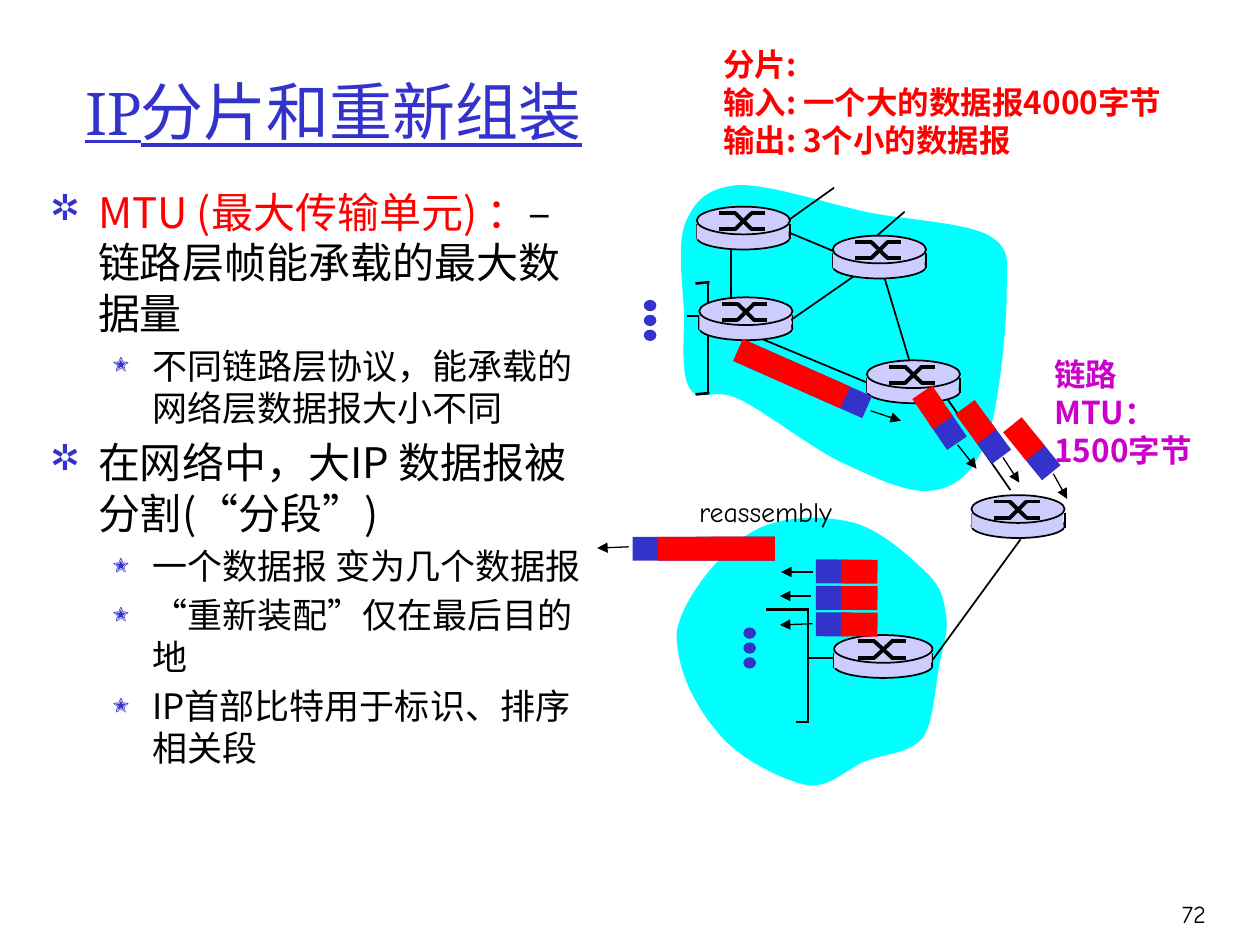
from math import cos, radians, sin

from lxml.etree import SubElement
from pptx import Presentation
from pptx.dml.color import RGBColor
from pptx.enum.shapes import MSO_CONNECTOR as Connector, MSO_SHAPE as Preset
from pptx.enum.text import MSO_ANCHOR as Anchor, PP_ALIGN as Align
from pptx.oxml.ns import qn
from pptx.util import Inches, Pt

BLACK, RED, BLUE = "000000", "FF0000", "3333CC"
CYAN, LILAC, PURPLE = "00FFFF", "CCCCFF", "CC00CC"


def color(value):
    return RGBColor.from_string(value)


class Diagram:
    sans, hand, serif = "Noto Sans CJK SC", "Comic Neue", "Cambria"
    columns = 100

    def __init__(self, presentation):
        self.slide = presentation.slides.add_slide(presentation.slide_layouts[6])
        self.shapes = self.slide.shapes
        self.cell = presentation.slide_width / self.columns

    def grid(self, *cells):
        return [round(cell * self.cell) for cell in cells]

    def group(self, draw, *details):
        self.shapes = self.slide.shapes.add_group_shape().shapes
        draw(*details)
        self.shapes = self.slide.shapes

    def paint(self, shape, fill, outline=None):
        shape.shadow.inherit = False
        shape.fill.solid()
        shape.fill.fore_color.rgb = color(fill)
        if outline:
            shape.line.color.rgb = color(outline)
            shape.line.width = Pt(1)
        else:
            shape.line.fill.background()

    def block(self, preset, box, fill, outline=None, angle=0):
        shape = self.shapes.add_shape(preset, *self.grid(*box))
        shape.rotation = angle
        self.paint(shape, fill, outline)

    def line(self, ends, width=1, arrow=False):
        connector = self.shapes.add_connector(Connector.STRAIGHT, *self.grid(*ends))
        connector.line.color.rgb = color(BLACK)
        connector.line.width = Pt(width)
        if arrow:
            SubElement(connector.line._get_or_add_ln(), qn("a:tailEnd"), type="triangle")
        SubElement(connector._element.spPr, qn("a:effectLst"))

    def cloud(self, start, curves):
        builder = self.shapes.build_freeform(*self.grid(*start))
        builder.add_line_segments([self.grid(*curve[i:i + 2])
                                   for curve in curves for i in (0, 2, 4)], close=True)
        shape = builder.convert_to_shape()
        segments = list(shape._element.iter(qn("a:lnTo")))
        for first, second, third in zip(*[iter(segments)] * 3):
            first.tag = qn("a:cubicBezTo")
            for segment in (second, third):
                first.append(segment[0])
                segment.getparent().remove(segment)
        self.paint(shape, CYAN)

    def router(self, left, top, width=7.4):
        right = left + width
        self.block(Preset.OVAL, (left, top + 1.5, width, 1.9), LILAC, BLACK)
        for x in (left, right):
            self.line((x, top + 1.4, x, top + 2.6))
        self.block(Preset.RECTANGLE, (left, top + 1.4, width - 0.1, 1.2), LILAC)
        self.block(Preset.OVAL, (left, top, width, 2.2), LILAC, BLACK)
        high, low = top + 0.5, top + 1.8
        for begin, end in ((high, low), (low, high)):
            strokes = (0.24, begin, 0.42, begin), (0.58, end, 0.73, end), (0.41, begin, 0.59, end)
            for x1, y1, x2, y2 in strokes:
                self.line((left + x1 * width, y1, left + x2 * width, y2), 2.25)

    def dots(self, left, top):
        for index in range(3):
            self.block(Preset.OVAL, (left, top + 1.18 * index, 1, 0.9), BLUE)

    def packet(self, x, y, angle, header=2.5, data=2.9, gap=2.2):
        data_x = x - gap * cos(radians(angle))
        data_y = y - gap * sin(radians(angle))
        for cx, cy, length, fill in ((x, y, header, BLUE), (data_x, data_y, data, RED)):
            self.block(Preset.RECTANGLE, (cx - length / 2, cy - 0.95, length, 1.9),
                       fill, angle=angle)

    def frame(self, box, anchor=Anchor.TOP):
        frame = self.shapes.add_textbox(*self.grid(*box)).text_frame
        frame.word_wrap = True
        frame.vertical_anchor = anchor
        return frame

    def paragraph(self, frame, first):
        return frame.paragraphs[0] if first else frame.add_paragraph()

    def style(self, paragraph, size, name, fill=None, bold=None, underline=None):
        font = paragraph.font
        font.size, font.name, font.bold, font.underline = Pt(size), name, bold, underline
        if fill:
            font.color.rgb = color(fill)

    def label(self, box, lines, size, name, fill, bold=None, underline=None,
              anchor=Anchor.TOP, align=Align.LEFT):
        frame = self.frame(box, anchor)
        for index, text in enumerate(lines):
            paragraph = self.paragraph(frame, index == 0)
            paragraph.text, paragraph.alignment = text, align
            self.style(paragraph, size, name, fill, bold, underline)

    def bullets(self, box, items):
        levels = ((24, 0.38, 0.38, "❒", 85), (20, 0.81, 0.31, "❍", 75))
        frame = self.frame(box)
        for index, (level, *runs) in enumerate(items):
            size, margin, hanging, mark, percent = levels[level]
            paragraph = self.paragraph(frame, index == 0)
            properties = paragraph._p.get_or_add_pPr()
            properties.set("marL", str(Inches(margin)))
            properties.set("indent", str(-Inches(hanging)))
            bullet_color = SubElement(properties, qn("a:buClr"))
            SubElement(bullet_color, qn("a:srgbClr"), val=BLUE)
            SubElement(properties, qn("a:buSzPct"), val=str(percent * 1000))
            SubElement(properties, qn("a:buFont"), typeface="ZapfDingbats")
            SubElement(properties, qn("a:buChar"), char=mark)
            if index:
                paragraph.space_before = Pt(size * 0.2)
            for text, fill in runs:
                run = paragraph.add_run()
                run.text = text
                run.font.color.rgb = color(fill)
            self.style(paragraph, size, self.sans)


def main():
    presentation = Presentation()
    presentation.slide_width, presentation.slide_height = Inches(10), Inches(7.5)
    diagram = Diagram(presentation)

    diagram.label((89.3, 70, 7.4, 5), ["72"], 14, diagram.hand, BLACK,
                  anchor=Anchor.MIDDLE, align=Align.RIGHT)
    diagram.label((5.8, 2.5, 88.2, 12.5), ["IP分片和重新组装"], 36, diagram.serif, BLUE,
                  underline=True, anchor=Anchor.MIDDLE)
    diagram.bullets((3, 14.3, 44.4, 50.8), (
        (0, ("MTU (最大传输单元) ：", RED), ("–链路层帧能承载的最大数据量", BLACK)),
        (1, ("不同链路层协议，能承载的网络层数据报大小不同", BLACK)),
        (0, ("在网络中，大IP 数据报被分割(“分段”)", BLACK)),
        (1, ("一个数据报 变为几个数据报", BLACK)),
        (1, ("“重新装配”仅在最后目的地", BLACK)),
        (1, ("IP首部比特用于标识、排序相关段", BLACK))))

    diagram.cloud((58.6, 14.7), (
        (56.1, 14.9, 55.1, 16, 54.4, 17.7), (53.7, 19.4, 54.2, 22.7, 54.3, 24.9),
        (54.3, 27.1, 54, 29.8, 54.8, 30.9), (55.5, 32, 56.7, 30.7, 58.7, 31.7),
        (60.8, 32.7, 64.4, 35.6, 67, 36.8), (69.6, 38, 72.3, 39.3, 74.2, 38.9),
        (76.1, 38.6, 77.4, 37.3, 78.4, 34.7), (79.3, 32.1, 79.9, 26, 79.9, 23.3),
        (79.9, 20.7, 80.3, 19.8, 78.5, 18.7), (76.7, 17.7, 72.4, 17.5, 69.1, 16.9),
        (65.8, 16.2, 61, 14.6, 58.6, 14.7)))
    diagram.cloud((53.7, 50.2), (
        (54.1, 47.6, 57.1, 43.9, 59.4, 42.4), (61.6, 40.9, 65.1, 40.9, 67.4, 41.4),
        (69.8, 41.9, 72.2, 44.2, 73.5, 45.4), (74.8, 46.7, 74.9, 47.6, 75.1, 48.9),
        (75.3, 50.2, 74.8, 51.4, 74.5, 53.1), (74.2, 54.7, 74.1, 57.4, 73.2, 58.6),
        (72.2, 59.8, 70.3, 59.8, 68.7, 60.4), (67.2, 61, 65.9, 62.6, 64, 62.3),
        (62.1, 61.9, 58.8, 60.3, 57.1, 58.3), (55.4, 56.3, 53.7, 53.5, 53.7, 50.2)))

    for ends in ((55.2, 22.5, 56.3, 22.4), (55.2, 31.3, 56.3, 31.2),
                 (60.8, 48.4, 64.2, 48.4), (63.2, 57.3, 64.2, 57.3)):
        diagram.line(ends, 1.5)
    for ends in ((56.2, 22.3, 56.2, 31.2), (54.5, 25.1, 55.9, 25.1),
                 (60.8, 17.7, 68, 20.7), (70, 21.4, 72.2, 28.7), (58, 18.9, 58, 25.3),
                 (58.3, 26, 68.9, 30.4), (80.2, 38.9, 75, 31.4), (69.1, 21, 60.9, 26.7),
                 (66.2, 14.9, 61, 18.6), (71.8, 16.8, 68.8, 19.4), (64.1, 48.4, 64.1, 57.2),
                 (64.1, 52.2, 66.2, 52.2), (81, 42.8, 74, 52.4)):
        diagram.line(ends)
    for corner in ((51.1, 23.8), (59, 49.8)):
        diagram.group(diagram.dots, *corner)
    for place in ((55.3, 16.4), (55.5, 23.6), (66.1, 18.7), (68.8, 28.6),
                  (66.2, 50.4, 7.8), (77.1, 39.3)):
        diagram.group(diagram.router, *place)

    for place in ((63.7, 30.05, 23.9, 11.2, 9.3, 0.95), (55.85, 43.55, 179.9, 11.3, 9.3, 1),
                  (75.25, 34.15, 55.8), (78.75, 35.25, 53.6), (82.65, 36.55, 50.9)):
        diagram.group(diagram.packet, *place)
    for row in range(3):
        diagram.group(diagram.packet, 66, 45.35 + 2.1 * row, 180.4)
    for ends in ((69.1, 32.6, 71.5, 33.4), (76, 35.3, 77.5, 37.2), (79.6, 36.3, 80.9, 38.3),
                 (83.6, 37.6, 84.7, 39.6), (64.5, 45.4, 62, 45.4), (64.4, 47.3, 61.9, 47.3),
                 (64.5, 49.5, 61.9, 49.6), (49.9, 43.4, 47.4, 43.5)):
        diagram.line(ends, 0.75, arrow=True)

    diagram.label((56.4, 3.1, 37.7, 10.4),
                  ["分片:", "输入: 一个大的数据报4000字节", "输出: 3个小的数据报"],
                  18, diagram.sans, RED, bold=True)
    diagram.label((54.5, 38.8, 13.6, 3.7), ["reassembly"], 16, diagram.hand, BLACK)
    diagram.label((82.7, 27.7, 13.5, 7.4), ["链路MTU：", "1500字节"],
                  18, diagram.sans, PURPLE, bold=True)
    presentation.save("out.pptx")


if __name__ == "__main__":
    main()
